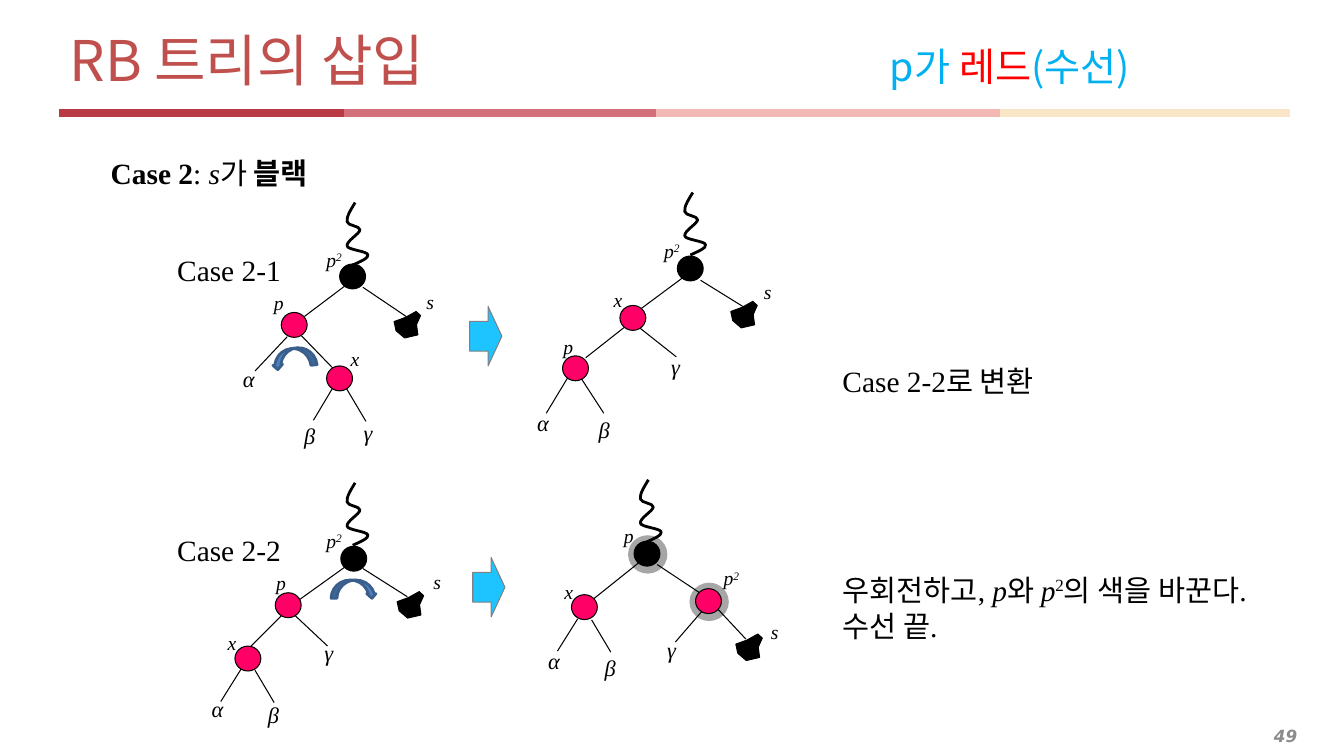
from pptx import Presentation
from pptx.dml.color import RGBColor
from pptx.enum.shapes import MSO_CONNECTOR, MSO_SHAPE
from pptx.enum.text import MSO_ANCHOR, MSO_AUTO_SIZE, PP_ALIGN
from pptx.oxml.ns import qn
from pptx.util import Pt
from lxml.etree import SubElement

BLACK = RGBColor(0, 0, 0)
RED = RGBColor(0xFF, 0x00, 0x66)
HALO = RGBColor(0xA6, 0xA6, 0xA6)
TITLE_RED = RGBColor(0xC0, 0x50, 0x4D)
SKY = RGBColor(0x00, 0xB0, 0xF0)
PURE_RED = RGBColor(0xFF, 0, 0)
ARROW_BLUE = RGBColor(0x1D, 0xC4, 0xFF)
ARROW_EDGE = RGBColor(0x80, 0x80, 0x80)
TURN_BLUE = RGBColor(0x4F, 0x81, 0xBD)
TURN_EDGE = RGBColor(0x3A, 0x5F, 0x8C)
PAGE_GRAY = RGBColor(0x8C, 0x8C, 0x8C)
KOREAN = "Noto Sans CJK KR"
SERIF = "Times New Roman"

TITLE = [
    ("RB 트리의 삽입\t", {"size": 40, "color": TITLE_RED}),
    ("p가 ", {"color": SKY}), ("레드", {"color": PURE_RED}), ("(수선)", {"color": SKY}),
]
BARS = [
    (223.2, 468.7, RGBColor(0xD3, 0x70, 0x79)),
    (468.7, 714.2, RGBColor(0xF2, 0xB8, 0xB4)),
    (714.2, 921.6, RGBColor(0xF8, 0xE6, 0xC7)),
    (42.5, 245.5, RGBColor(0xB9, 0x39, 0x45)),
]
ITALIC = {"italic": True}
TEXTS = [
    ((72, 107.3, 166.3, 32.4), [[("Case 2", {"bold": True}), (": ", {}), ("s", ITALIC),
                                 ("가 ", {"name": KOREAN}), ("블랙", {"name": KOREAN, "bold": True})]]),
    ((119.5, 176.4, 89.3, 32.4), [[("Case 2-1", {})]]),
    ((119.5, 376.6, 89.3, 32.4), [[("Case 2-2", {})]]),
    ((594.7, 255.6, 158.4, 32.4), [[("Case 2-2로 변환", {})]]),
    ((594.7, 405.4, 327.6, 58.3), [
        [("우회전하고, ", {}), ("p", ITALIC), ("와 ", {}), ("p", ITALIC),
         ("2", {"baseline": 36}), ("의 색을 바꾼다.", {})],
        [("수선 끝.", {})]]),
]
LABEL_WIDTHS = {"p": 21.6, "p2": 25.9, "x": 20.9, "s": 20.2, "α": 23, "β": 22.3, "γ": 20.9}
TREES = [
    {"halos": [], "squiggle": (247.7, 144.7), "sibling": (281.5, 222.5),
     "nodes": [(242.6, 188.6, BLACK), (200.9, 223.2, RED), (233.3, 261.4, RED)],
     "edges": [(247, 203.8, 217.4, 226.1), (259.2, 205.2, 290.2, 226.1),
               (205.2, 240.5, 182.2, 265), (215.3, 239.8, 237.6, 262.8),
               (237.6, 277.2, 223.9, 300.2), (247.7, 277.9, 261.4, 301)],
     "labels": {"p2": (226.1, 173.5), "p": (188.6, 204.5), "x": (243.4, 244.1), "s": (297.4, 203.8),
                "α": (166.3, 257), "β": (210.2, 298.1), "γ": (252.7, 295.9)}},
    {"halos": [], "squiggle": (488.9, 137.5), "sibling": (522, 215.3),
     "nodes": [(483.8, 182.9, BLACK), (442.8, 218.2, RED), (401.8, 254.2, RED)],
     "edges": [(488.2, 198, 457.2, 221), (500.4, 200.2, 530.6, 218.9),
               (445.7, 234, 418.3, 255.6), (455.8, 233.3, 483.1, 254.9),
               (405.4, 270, 390.2, 295.2), (415.4, 270.7, 431.3, 295.2)],
     "labels": {"p2": (467.3, 167), "p": (395.3, 235.4), "x": (431.3, 202.3), "s": (538.6, 196.6),
                "α": (376.6, 288.7), "β": (420.5, 293.8), "γ": (472.3, 248.4)}},
    {"halos": [], "squiggle": (247.7, 344.9), "sibling": (283.7, 422.6),
     "nodes": [(243.4, 390.2, BLACK), (196.6, 423.4, RED), (167.8, 461.5, RED)],
     "edges": [(247, 404.6, 213.8, 428.4), (259.2, 406.1, 290.9, 426.2),
               (200.9, 439.9, 179.3, 461.5), (211, 439.9, 234, 461.5),
               (172.1, 478.1, 157.7, 501.1), (182.2, 478.8, 195.8, 501.8)],
     "labels": {"p2": (226.1, 374.4), "p": (190.1, 404.6), "x": (155.5, 447.1), "s": (302.4, 403.9),
                "α": (144, 493.2), "β": (184.3, 497.5), "γ": (224.6, 452.9)}},
    {"halos": [(492.5, 416.2), (448.6, 382.3)], "squiggle": (457.2, 342.7), "sibling": (525.6, 452.9),
     "nodes": [(452.9, 386.6, BLACK), (408.2, 424.8, RED), (496.8, 420.5, RED)],
     "edges": [(456.5, 401.8, 424.1, 427.7), (469.4, 403.2, 499.7, 423.4),
               (412.6, 442.1, 398.2, 465.1), (422.6, 442.8, 436.3, 465.8),
               (501.1, 437, 482.4, 458.6), (512.6, 434.9, 532.8, 456.5)],
     "labels": {"p2": (509.8, 401), "p": (438.5, 370.8), "x": (396, 410.4), "s": (543.6, 439.2),
                "α": (384.5, 458.6), "β": (424.8, 463.7), "γ": (469.4, 450.7)}},
]
SIBLING_OUTLINE = [(8, 4.3), (0, 7.2), (1.4, 13.7), (7.5, 18.9), (17, 16.7), (16, 9.4), (18.9, 2.9), (15.7, 0)]
SQUIGGLE = [
    (4.3, 44.6), (10.1, 42), (15.8, 39.6), (15.1, 37.2), (14.4, 34.6), (0.7, 33.8), (0.3, 31),
    (-0.4, 27.4), (9.4, 22.3), (9.4, 19.4), (9.4, 16.6), (0.7, 16.6), (0.3, 13.7),
    (-0.4, 10.1), (3, 5), (6, 0),
]
STEP_ARROWS = [(335.5, 218.9), (337.7, 398.2)]
TURN_ARROWS = [((203, 239.8, 13.7, 31.7), 82.6, False), ((246.2, 404.6, 13, 32.4), 270, True)]


def add_run(paragraph, text, size=21, name=SERIF, color=BLACK, bold=False, italic=False, baseline=0):
    run = paragraph.add_run()
    run.text = text
    font = run.font
    font.size, font.name, font.bold, font.italic = Pt(size), name, bold, italic
    font.color.rgb = color
    properties = run._r.get_or_add_rPr()
    SubElement(properties, qn("a:ea")).set("typeface", KOREAN)
    if baseline:
        properties.set("baseline", str(baseline * 1000))


def add_text(slide, box, paragraphs, wrap=False, **defaults):
    shape = slide.shapes.add_textbox(*map(Pt, box))
    frame = shape.text_frame
    frame.word_wrap = wrap
    frame.auto_size = MSO_AUTO_SIZE.NONE if wrap else MSO_AUTO_SIZE.SHAPE_TO_FIT_TEXT
    for index, runs in enumerate(paragraphs):
        paragraph = frame.add_paragraph() if index else frame.paragraphs[0]
        for text, run_format in runs:
            add_run(paragraph, text, **{**defaults, **run_format})
    return frame


def paint(shape, fill=None, line=None, width=0.75):
    shape.shadow.inherit = False
    if fill is None:
        shape.fill.background()
    else:
        shape.fill.solid()
        shape.fill.fore_color.rgb = fill
    if line is None:
        shape.line.fill.background()
    else:
        shape.line.color.rgb = line
        shape.line.width = Pt(width)


def add_preset(slide, kind, box, **colors):
    shape = slide.shapes.add_shape(kind, *map(Pt, box))
    paint(shape, **colors)
    return shape


def add_line(slide, ends, color=BLACK, width=0.75):
    connector = slide.shapes.add_connector(MSO_CONNECTOR.STRAIGHT, *map(Pt, ends))
    connector.line.color.rgb = color
    connector.line.width = Pt(width)
    SubElement(connector._element.spPr, qn("a:effectLst"))


def add_outline(slide, origin, offsets, close, **colors):
    points = [(Pt(origin[0] + x), Pt(origin[1] + y)) for x, y in offsets]
    builder = slide.shapes.build_freeform(*points[0])
    builder.add_line_segments(points[1:], close=close)
    shape = builder.convert_to_shape()
    paint(shape, **colors)
    return shape


def bend(shape):
    segments = list(shape._element.iter(qn("a:lnTo")))
    outline = segments[0].getparent()
    for start in range(0, len(segments), 3):
        curve = SubElement(outline, qn("a:cubicBezTo"))
        for segment in segments[start:start + 3]:
            curve.append(segment[0])
            outline.remove(segment)


def add_tree(slide, tree):
    for left, top in tree["halos"]:
        add_preset(slide, MSO_SHAPE.OVAL, (left, top, 28.1, 27.4), fill=HALO)
    for ends in tree["edges"]:
        add_line(slide, ends)
    for left, top, color in tree["nodes"]:
        add_preset(slide, MSO_SHAPE.OVAL, (left, top, 18.5, 17.8), fill=color, line=BLACK)
    add_outline(slide, tree["sibling"], SIBLING_OUTLINE, True, fill=BLACK, line=BLACK)
    bend(add_outline(slide, tree["squiggle"], SQUIGGLE, False, line=BLACK, width=2))
    for label, (left, top) in tree["labels"].items():
        size, height = (16, 26.6) if label in "αβγ" else (14, 24.5)
        runs = [(label[0], ITALIC)] + [(power, {"italic": True, "baseline": 30}) for power in label[1:]]
        add_text(slide, (left, top, LABEL_WIDTHS[label], height), [runs], size=size)


def main():
    presentation = Presentation()
    presentation.slide_width, presentation.slide_height = Pt(960), Pt(540)
    slide = presentation.slides.add_slide(presentation.slide_layouts[5])

    title = slide.shapes.title
    title.left, title.top, title.width, title.height = map(Pt, (42.5, 18, 879.1, 49))
    frame = title.text_frame
    frame.word_wrap, frame.auto_size = True, MSO_AUTO_SIZE.NONE
    frame.vertical_anchor = MSO_ANCHOR.MIDDLE
    paragraph = frame.paragraphs[0]
    paragraph.alignment = PP_ALIGN.LEFT
    tabs = SubElement(paragraph._p.get_or_add_pPr(), qn("a:tabLst"))
    tab = SubElement(tabs, qn("a:tab"))
    tab.set("pos", str(Pt(586)))
    tab.set("algn", "l")
    for text, run_format in TITLE:
        add_run(paragraph, text, **{"size": 28, "name": KOREAN, **run_format})

    for start, end, color in BARS:
        add_line(slide, (start, 80.6, end, 80.6), color=color, width=6)
    for tree in TREES:
        add_tree(slide, tree)
    for box, paragraphs in TEXTS:
        add_text(slide, box, paragraphs)
    for left, top in STEP_ARROWS:
        arrow = add_preset(slide, MSO_SHAPE.RIGHT_ARROW, (left, top, 23, 42.5), fill=ARROW_BLUE, line=ARROW_EDGE)
        arrow.adjustments[1] = 0.43
    for box, rotation, flipped in TURN_ARROWS:
        arrow = add_preset(slide, MSO_SHAPE.CURVED_RIGHT_ARROW, box, fill=TURN_BLUE, line=TURN_EDGE, width=2)
        arrow.rotation = rotation
        arrow.adjustments[0] = 0.32
        if flipped:
            arrow._element.spPr.get_or_add_xfrm().set("flipH", "1")

    number = add_text(slide, (14.4, 514.1, 919.4, 22.3), [[("49", {"bold": True, "italic": True})]],
                      wrap=True, size=12, name="DejaVu Sans", color=PAGE_GRAY)
    number.vertical_anchor = MSO_ANCHOR.MIDDLE
    number.paragraphs[0].alignment = PP_ALIGN.RIGHT
    presentation.save("out.pptx")


if __name__ == "__main__":
    main()
